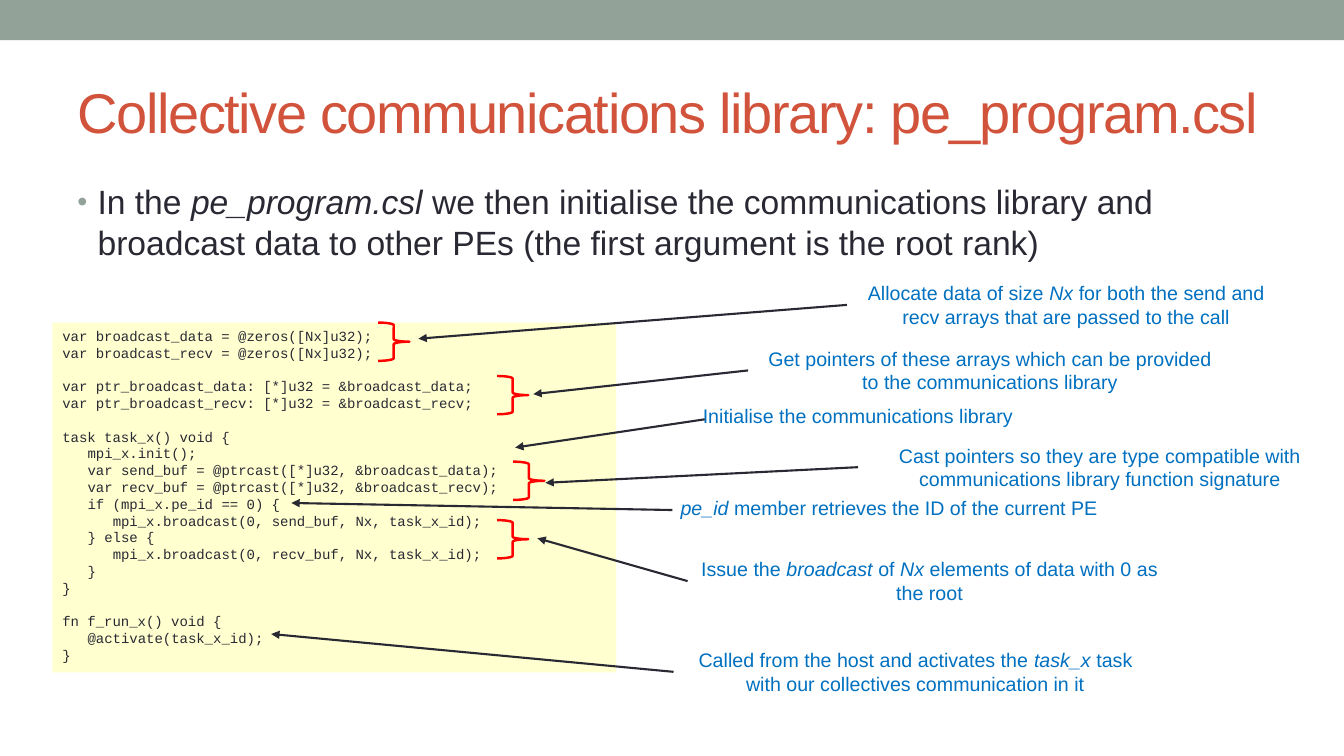
import pptx
import pptx.util
import pptx.dml.color
import pptx.enum.shapes
import pptx.enum.text
import pptx.oxml
from pptx.util import Inches

RGBColor = pptx.dml.color.RGBColor
SAGE = RGBColor(0x93, 0xA2, 0x99)
RUST = RGBColor(0xD2, 0x53, 0x3C)
INK = RGBColor(0x29, 0x29, 0x34)
BLUE = RGBColor(0x00, 0x70, 0xC0)
RED = RGBColor(0xFF, 0x00, 0x00)
YELLOW = RGBColor(0xFF, 0xFF, 0x66)

TITLE = "Collective communications library: pe_program.csl"
INTRO = ("In the *pe_program.csl *we then initialise the communications library and "
         "broadcast data to other PEs (the first argument is the root rank)")

CODE_BLOCKS = [
    [(0, "var broadcast_data = @zeros([Nx]u32);"),
     (0, "var broadcast_recv = @zeros([Nx]u32);")],
    [(0, "var ptr_broadcast_data: [*]u32 = &broadcast_data;"),
     (0, "var ptr_broadcast_recv: [*]u32 = &broadcast_recv;")],
    [(0, "task task_x() void {"),
     (1, "mpi_x.init();"),
     (1, "var send_buf = @ptrcast([*]u32, &broadcast_data);"),
     (1, "var recv_buf = @ptrcast([*]u32, &broadcast_recv);"),
     (1, "if (mpi_x.pe_id == 0) {"),
     (2, "mpi_x.broadcast(0, send_buf, Nx, task_x_id);"),
     (1, "} else {"),
     (2, "mpi_x.broadcast(0, recv_buf, Nx, task_x_id);"),
     (1, "}"),
     (0, "}")],
    [(0, "fn f_run_x() void {"),
     (1, "@activate(task_x_id);"),
     (0, "}")],
]
CODE_INDENT = 0.25
CODE_LINE = 12

BRACES = [(3.75, 3.2), (4.93, 3.73), (5.09, 4.58), (4.93, 5.16)]

# text, (left, top, width, height), free arrow start or None, arrow tip
NOTES = [
    ("Allocate data of size *Nx *for both the send and recv arrays that are passed to the call",
     (8.4, 2.74, 4.35, 0.57), None, (4.15, 3.36)),
    ("Get pointers of these arrays which can be provided to the communications library",
     (7.42, 3.39, 4.8, 0.57), None, (5.29, 3.91)),
    ("Initialise the communications library",
     (6.11, 3.96, 4.8, 0.34), (6.99, 4.16), (5.11, 4.44)),
    ("Cast pointers so they are type compatible with communications library function signature",
     (8.51, 4.35, 4.8, 0.57), None, (5.41, 4.79)),
    ("*pe_id *member retrieves the ID of the current PE",
     (6.42, 4.87, 4.8, 0.34), (6.67, 5.06), (2.89, 4.99)),
    ("Issue the *broadcast *of *Nx* elements of data with 0 as the root",
     (6.82, 5.48, 4.8, 0.57), None, (5.33, 5.34)),
    ("Called from the host and activates the *task_x *task with our collectives communication in it",
     (6.68, 6.38, 4.8, 0.57), None, (2.69, 6.29)),
]


def add_element(parent, tag, **attributes):
    element = pptx.oxml.parse_xml(
        f'<a:{tag} xmlns:a="http://schemas.openxmlformats.org/drawingml/2006/main"/>')
    for name, value in attributes.items():
        element.set(name, str(value))
    parent.append(element)
    return element


def write(para, text, size=14, color=BLUE, font="Arial", align=None, marked=True, spacing=None):
    if align is not None:
        para.alignment = align
    for index, piece in enumerate(text.split("*") if marked else [text]):
        if piece:
            span = para.add_run()
            span.text = piece
            span.font.name = font
            span.font.size = pptx.util.Pt(size)
            span.font.color.rgb = color
            if index % 2:
                span.font.italic = True
            if spacing is not None:
                span.font._element.set("spc", str(spacing))


def add_box(page, place, anchor=pptx.enum.text.MSO_ANCHOR.TOP):
    box = page.shapes.add_textbox(*map(Inches, place))
    box.text_frame.word_wrap = True
    box.text_frame.vertical_anchor = anchor
    return box


def add_shape(page, kind, place, fill=None, line=None):
    shape = page.shapes.add_shape(kind, *map(Inches, place))
    shape.shadow.inherit = False
    if fill is None:
        shape.fill.background()
    else:
        shape.fill.solid()
        shape.fill.fore_color.rgb = fill
    if line is None:
        shape.line.fill.background()
    else:
        shape.line.color.rgb = line
        shape.line.width = pptx.util.Pt(1.75)
    return shape


def add_code(page):
    panel = add_shape(page, SHAPES.RECTANGLE, (0.52, 3.2, 5.59, 3.47), fill=YELLOW)
    color = panel.fill._xPr.find(".//" + pptx.oxml.ns.qn("a:srgbClr"))
    add_element(color, "alpha", val=30000)
    frame = panel.text_frame
    frame.word_wrap = True
    frame.vertical_anchor = pptx.enum.text.MSO_ANCHOR.TOP
    for number, block in enumerate(CODE_BLOCKS):
        for row, (level, text) in enumerate(block):
            first = number == 0 and row == 0
            para = frame.paragraphs[0] if first else frame.add_paragraph()
            para.line_spacing = pptx.util.Pt(CODE_LINE)
            if number and row == 0:
                para.space_before = pptx.util.Pt(CODE_LINE)
            para._p.get_or_add_pPr().set("marL", str(Inches(level * CODE_INDENT)))
            write(para, text, size=10, color=INK, font="Courier New", marked=False,
                  align=pptx.enum.text.PP_ALIGN.LEFT)


def add_note(page, text, place, start, tip):
    box = add_box(page, place)
    write(box.text_frame.paragraphs[0], text, align=pptx.enum.text.PP_ALIGN.CENTER)
    left, top, width, height = place
    begin = start or (left, top + height / 2)
    arrow = page.shapes.add_connector(
        pptx.enum.shapes.MSO_CONNECTOR.STRAIGHT, *map(Inches, begin + tip))
    if start is None:
        arrow.begin_connect(box, 1)
    arrow.line.color.rgb = INK
    arrow.line.width = pptx.util.Pt(1.5)
    add_element(arrow.line._get_or_add_ln(), "tailEnd", type="triangle")
    add_element(arrow._element.spPr, "effectLst")


SHAPES = pptx.enum.shapes.MSO_SHAPE


def main():
    deck = pptx.Presentation()
    deck.slide_width, deck.slide_height = Inches(13.33), Inches(7.5)
    page = deck.slides.add_slide(deck.slide_layouts[6])
    add_shape(page, SHAPES.RECTANGLE, (0, 0, 13.33, 0.4), fill=SAGE)
    title = add_box(page, (0.67, 0.58, 12, 1.04), pptx.enum.text.MSO_ANCHOR.MIDDLE)
    write(title.text_frame.paragraphs[0], TITLE, size=40, color=RUST, spacing=-100)
    add_code(page)
    para = add_box(page, (0.67, 1.75, 12, 1.21)).text_frame.paragraphs[0]
    para.space_before = pptx.util.Pt(4.8)
    bullet = para._p.get_or_add_pPr()
    bullet.set("marL", str(Inches(0.2)))
    bullet.set("indent", str(Inches(-0.2)))
    add_element(add_element(bullet, "buClr"), "srgbClr", val=SAGE)
    add_element(bullet, "buSzPct", val=85000)
    add_element(bullet, "buFont", typeface="Arial")
    add_element(bullet, "buChar", char="•")
    write(para, INTRO, size=24, color=INK)
    for left, top in BRACES:
        add_shape(page, SHAPES.RIGHT_BRACE, (left, top, 0.31, 0.38), line=RED)
    for note in NOTES:
        add_note(page, *note)


    deck.save("out.pptx")


if __name__ == "__main__":
    main()
